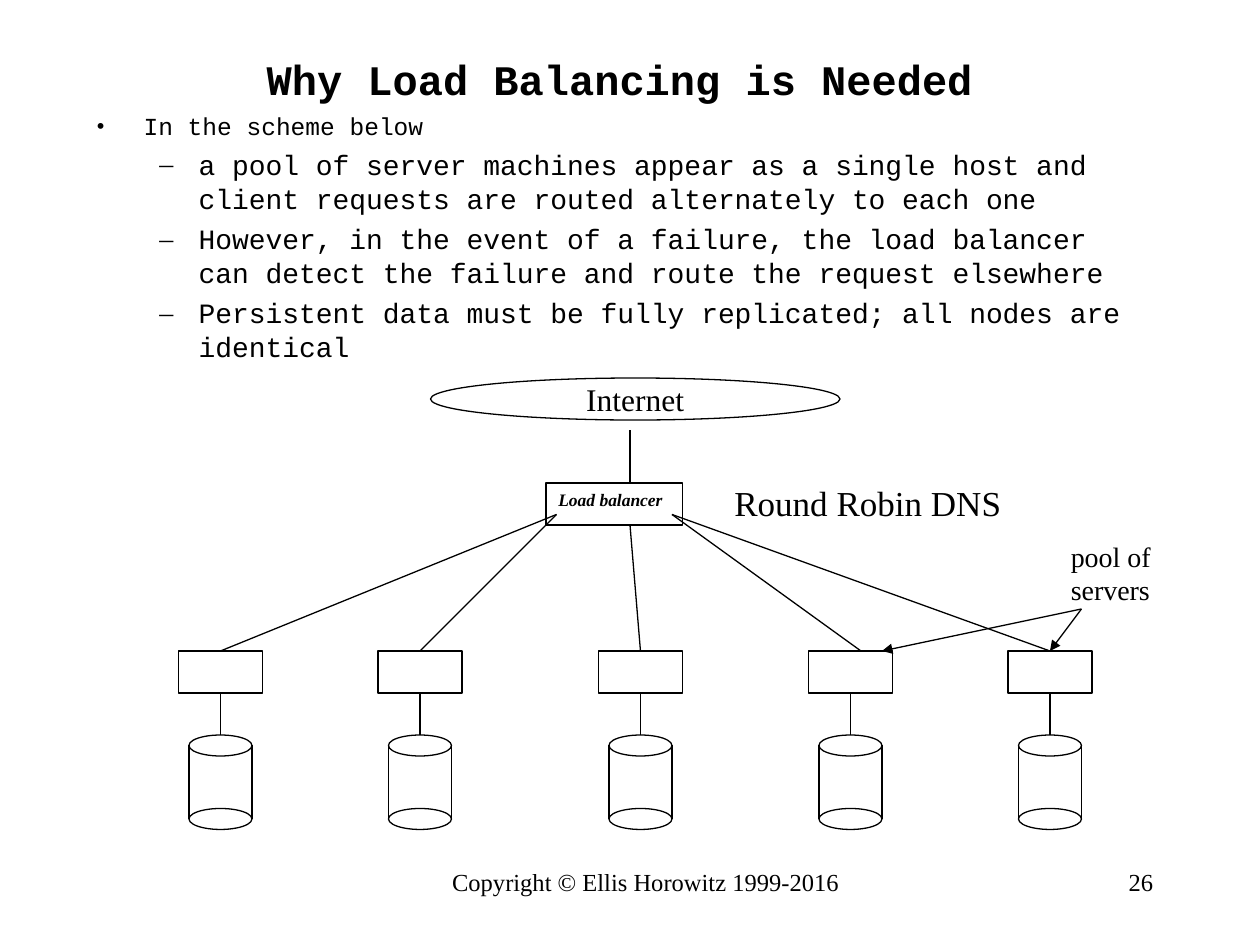
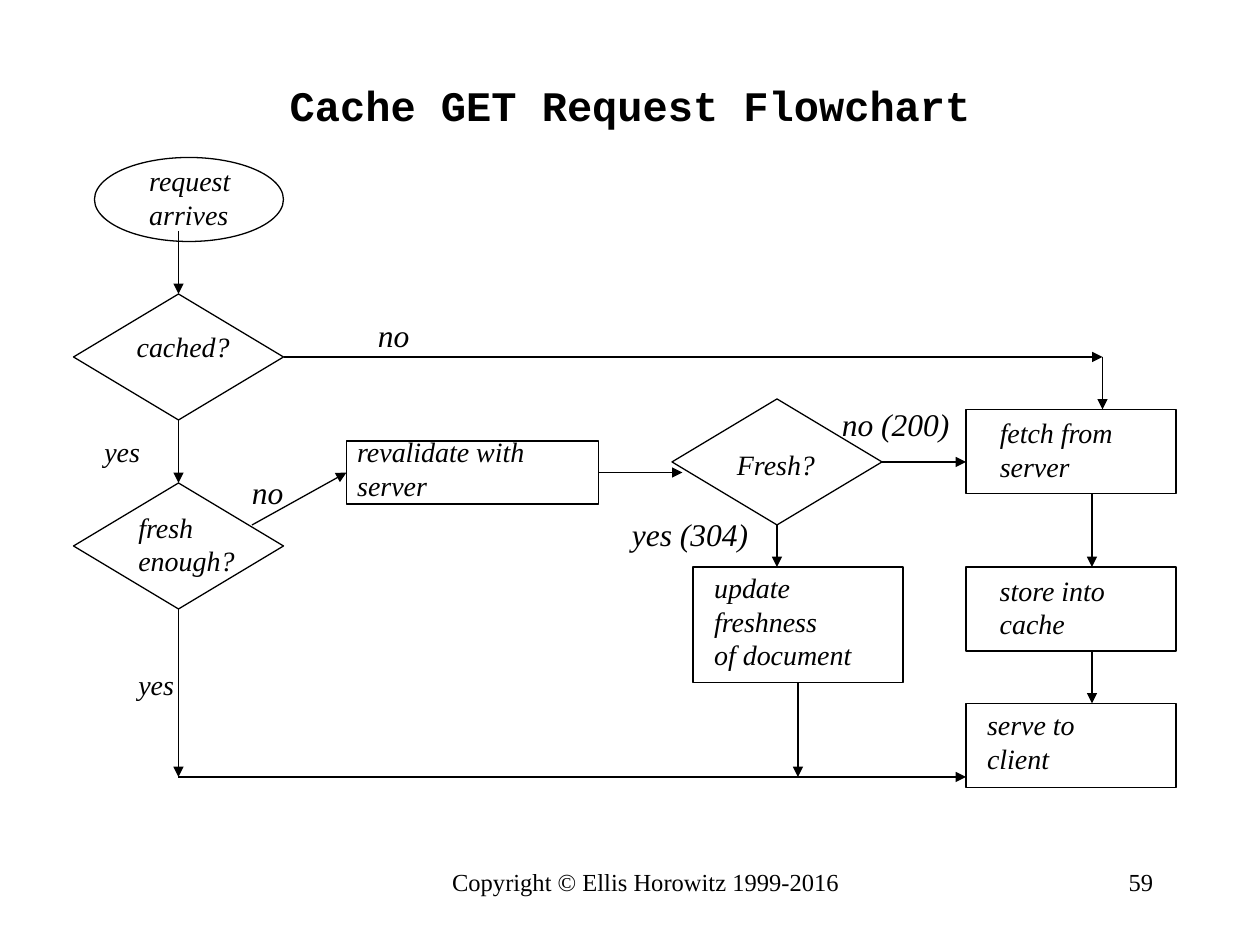
from lxml import etree
from pptx import Presentation
from pptx.dml.color import RGBColor
from pptx.enum.shapes import MSO_CONNECTOR, MSO_SHAPE as Preset
from pptx.enum.text import MSO_ANCHOR as Anchor, MSO_AUTO_SIZE as AutoSize, PP_ALIGN as Align
from pptx.oxml.ns import qn
from pptx.util import Pt

INK = "000000"
PAPER = "FFFFFF"
SERIF = "Times New Roman"
MONO = "Courier New"
LEADING = 1.2

COPYRIGHT = "Copyright © Ellis Horowitz 1999-2016"

BULLETS = [
    (0, "In the scheme below"),
    (1, "a pool of server machines appear as a single host and client requests "
        "are routed alternately to each one"),
    (1, "However, in the event of a failure, the load balancer can detect the "
        "failure and route the request elsewhere"),
    (1, "Persistent data must be fully replicated; all nodes are identical"),
]
BULLET_LEVELS = [
    dict(mark="•", size=14, before=3.5, left=27, hang=27),
    dict(mark="–", size=16, before=4, left=58.5, hang=22.5),
]

SERVER_CENTRES = [126, 240, 366, 486, 600]
SERVER_TOP, SERVER_WIDTH, SERVER_HEIGHT = 372, 48, 24
DISK_TOP, DISK_WIDTH, DISK_RIM, DISK_SIDE = 420, 36, 12, 42
BALANCER_LINKS = [
    (126, 372, 318, 294), (240, 372, 318, 294), (366, 372, 360, 300),
    (492, 372, 384, 294), (600, 372, 384, 294), (360, 276, 360, 246),
]
POOL_ARROWS = [(618, 348, 600, 372), (618, 348, 504, 372)]
SCHEME_LABELS = [
    ("Round Robin DNS", 412.5, 271.5, 167, 20),
    ("pool of\nservers", 604.8, 304.5, 60, 16),
]

FLOW_STEPS = [
    (Preset.OVAL, 54, 90, 108, 48),
    (Preset.FLOWCHART_DECISION, 42, 168, 120, 72),
    (Preset.FLOWCHART_DECISION, 42, 276, 120, 72),
    (Preset.RECTANGLE, 198, 252, 144, 36),
    (Preset.FLOWCHART_DECISION, 384, 228, 120, 72),
    (Preset.RECTANGLE, 552, 234, 120, 48),
    (Preset.RECTANGLE, 552, 324, 120, 48),
    (Preset.RECTANGLE, 552, 402, 120, 48),
    (Preset.RECTANGLE, 396, 324, 120, 66),
]
FLOW_ARROWS = [
    (102, 132, 102, 168), (102, 240, 102, 276), (144, 300, 198, 270),
    (342, 270, 390, 270), (504, 264, 552, 264), (162, 204, 630, 204),
    (630, 204, 630, 234), (624, 282, 624, 324), (624, 372, 624, 402),
    (444, 300, 444, 324), (102, 348, 102, 444), (102, 444, 552, 444),
    (456, 390, 456, 444),
]
STEP_LABELS = [
    ("request\narrives", 78.2, 90, 61, 16),
    ("cached?", 71, 185, 68, 16),
    ("fresh\nenough?", 72, 288, 69.4, 16),
    ("revalidate with\nserver", 197, 245, 110, 16),
    ("Fresh?", 414, 252, 60, 16),
    ("fetch from\nserver", 564.2, 234, 79, 16),
    ("store into\ncache", 564.2, 324, 75, 16),
    ("update\nfreshness\nof document", 401, 322.5, 93, 16),
    ("serve to\nclient", 557, 401, 64.4, 16),
    ("no", 208.8, 177, 32.4, 18),
    ("yes", 52.5, 245, 35, 16),
    ("yes", 72, 378, 35, 16),
    ("no", 136.8, 267, 32.4, 18),
]
OUTCOME_LABELS = [
    ("no (200)", 474, 228, 84, 18),
    ("yes (304)", 354, 291, 84, 18),
]


def color(value):
    return RGBColor.from_string(value)


def write(frame, text, size=16, font=SERIF, bold=False, italic=False,
          align=Align.LEFT, anchor=Anchor.TOP, wrap=True):
    frame.word_wrap = wrap
    frame.vertical_anchor = anchor
    for index, line in enumerate(text.split("\n")):
        paragraph = frame.paragraphs[0] if index == 0 else frame.add_paragraph()
        format_line(paragraph, line, size, font, bold, italic)
        paragraph.alignment = align


def format_line(paragraph, line, size, font, bold=False, italic=False):
    run = paragraph.add_run()
    run.text = line
    run.font.size = Pt(size)
    run.font.name = font
    run.font.bold = bold
    run.font.italic = italic
    run.font.color.rgb = color(INK)
    paragraph.line_spacing = Pt(round(size * LEADING, 1))


def add_text(slide, text, left, top, width, height, **style):
    box = slide.shapes.add_textbox(Pt(left), Pt(top), Pt(width), Pt(height))
    write(box.text_frame, text, **style)
    return box


def add_label(slide, text, left, top, width, size, italic=False, wrap=False):
    height = round(7.2 + size * LEADING * len(text.split("\n")), 1)
    label = add_text(slide, text, left, top, width, height,
                     size=size, italic=italic, wrap=wrap)
    label.text_frame.auto_size = AutoSize.SHAPE_TO_FIT_TEXT


def add_outline(slide, preset, left, top, width, height):
    shape = slide.shapes.add_shape(preset, Pt(left), Pt(top), Pt(width), Pt(height))
    shape.shadow.inherit = False
    shape.fill.background()
    shape.line.color.rgb = color(INK)
    shape.line.width = Pt(0.75)
    return shape


def add_line(slide, x1, y1, x2, y2, arrow=False):
    line = slide.shapes.add_connector(
        MSO_CONNECTOR.STRAIGHT, Pt(x1), Pt(y1), Pt(x2), Pt(y2))
    line.line.color.rgb = color(INK)
    line.line.width = Pt(0.75)
    if arrow:
        stroke = line._element.spPr.find(qn("a:ln"))
        etree.SubElement(stroke, qn("a:tailEnd"), type="triangle")
    etree.SubElement(line._element.spPr, qn("a:effectLst"))


def add_bullets(slide):
    frame = add_text(slide, "", 48, 60, 612, 156).text_frame
    for index, (level, line) in enumerate(BULLETS):
        look = BULLET_LEVELS[level]
        paragraph = frame.paragraphs[0] if index == 0 else frame.add_paragraph()
        paragraph.clear()
        format_line(paragraph, line, look["size"], MONO)
        paragraph.level = level
        paragraph.space_before = Pt(look["before"])
        properties = paragraph._p.get_or_add_pPr()
        properties.set("marL", str(Pt(look["left"])))
        properties.set("indent", str(-Pt(look["hang"])))
        etree.SubElement(properties, qn("a:buFont"), typeface=SERIF)
        etree.SubElement(properties, qn("a:buChar"), char=look["mark"])


def add_page(deck, title, title_box, number):
    slide = deck.slides.add_slide(deck.slide_layouts[6])
    slide.background.fill.solid()
    slide.background.fill.fore_color.rgb = color(PAPER)
    add_text(slide, COPYRIGHT, 246, 492, 246, 36, size=14, align=Align.CENTER)
    add_text(slide, number, 516, 492, 150, 36, size=14, align=Align.RIGHT)
    add_text(slide, title, *title_box, size=24, font=MONO, bold=True,
             align=Align.CENTER, anchor=Anchor.MIDDLE)
    return slide


def add_server(slide, centre):
    server_bottom = SERVER_TOP + SERVER_HEIGHT
    add_outline(slide, Preset.RECTANGLE, centre - SERVER_WIDTH / 2, SERVER_TOP,
                SERVER_WIDTH, SERVER_HEIGHT)
    add_line(slide, centre, server_bottom, centre, DISK_TOP)
    left = centre - DISK_WIDTH / 2
    rim_middle = DISK_TOP + DISK_RIM / 2
    for top in (DISK_TOP, DISK_TOP + DISK_SIDE):
        add_outline(slide, Preset.OVAL, left, top, DISK_WIDTH, DISK_RIM)
    for side in (left, left + DISK_WIDTH):
        add_line(slide, side, rim_middle, side, rim_middle + DISK_SIDE)


def build_load_balancing(deck):
    slide = add_page(deck, "Why Load Balancing is Needed", (48, 24, 612, 42), "26")
    add_bullets(slide)
    for centre in SERVER_CENTRES:
        add_server(slide, centre)
    for link in BALANCER_LINKS:
        add_line(slide, *link)
    internet = add_outline(slide, Preset.OVAL, 246, 216, 234, 24)
    write(internet.text_frame, "Internet", size=18, align=Align.CENTER,
          anchor=Anchor.MIDDLE, wrap=False)
    for label in SCHEME_LABELS:
        add_label(slide, *label)
    for arrow in POOL_ARROWS:
        add_line(slide, *arrow, arrow=True)
    balancer = add_outline(slide, Preset.RECTANGLE, 312, 276, 78, 24)
    write(balancer.text_frame, "Load balancer", size=10, bold=True, italic=True)


def build_cache_flowchart(deck):
    slide = add_page(deck, "Cache GET Request Flowchart", (54, 36, 612, 48), "59")
    for step in FLOW_STEPS:
        add_outline(slide, *step)
    for arrow in FLOW_ARROWS:
        add_line(slide, *arrow, arrow=True)
    for label in STEP_LABELS:
        add_label(slide, *label, italic=True)
    for label in OUTCOME_LABELS:
        add_label(slide, *label, italic=True, wrap=True)


def main():
    deck = Presentation()
    deck.slide_width, deck.slide_height = Pt(720), Pt(540)
    build_load_balancing(deck)
    build_cache_flowchart(deck)
    deck.save("out.pptx")


if __name__ == "__main__":
    main()
